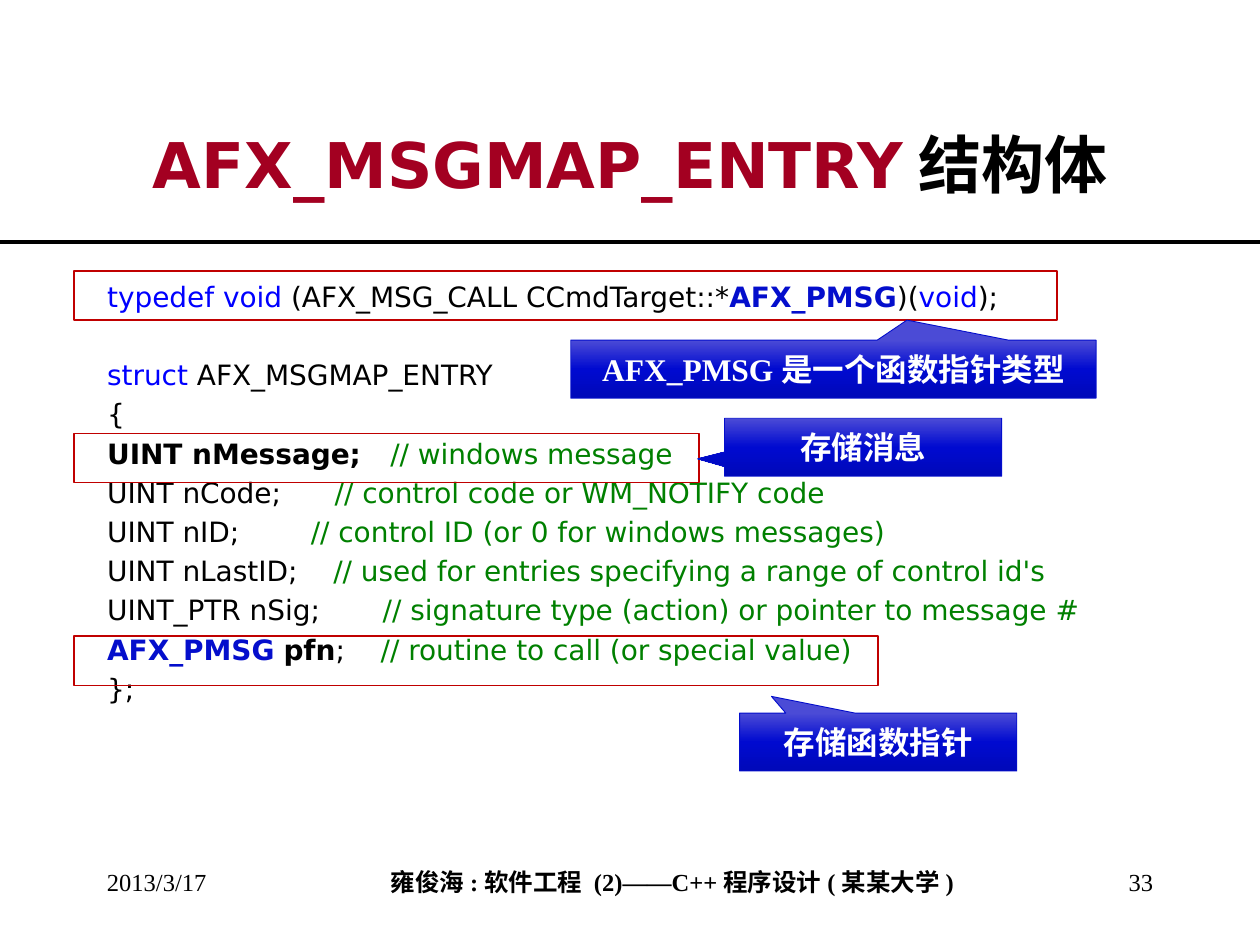
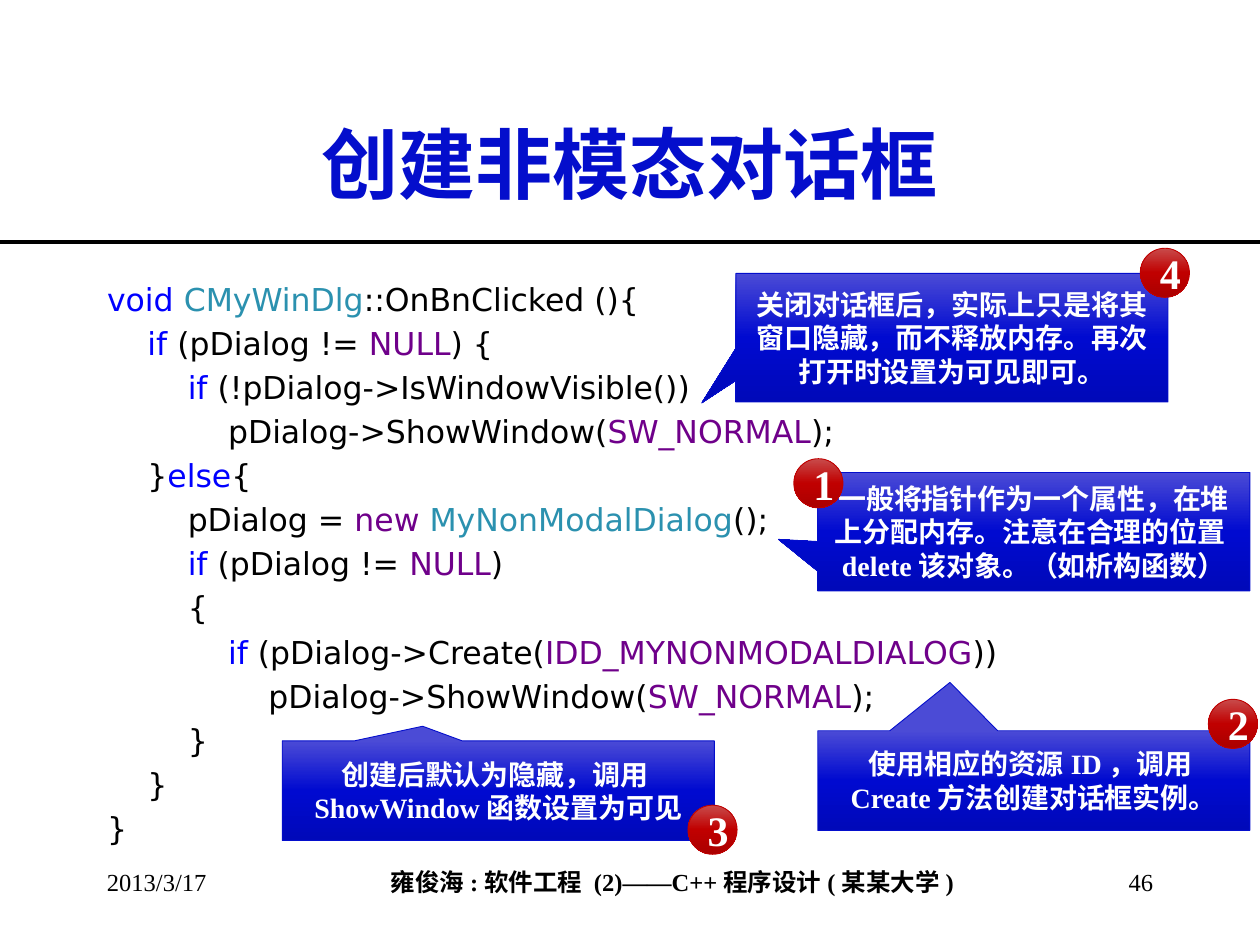
from copy import deepcopy
from lxml.etree import SubElement
from pptx import Presentation
from pptx.dml.color import RGBColor
from pptx.enum.shapes import MSO_CONNECTOR, MSO_SHAPE
from pptx.enum.text import MSO_ANCHOR as Anchor, MSO_AUTO_SIZE as AutoSize, PP_ALIGN as Align
from pptx.oxml.ns import qn
from pptx.util import Inches, Pt

COLOURS = {
    "black": "000000", "white": "FFFFFF", "keyword": "0000FF", "comment": "008000",
    "type": "2B91AF", "macro": "6F008A", "accent": "040ECC", "title": "A30021", "frame": "C00000",
}
CALLOUT_GRADIENT = ["4B4BD6", "000AD0", "0009B9"]
BADGE_GRADIENT = ["C84B4B", "C00000", "AB0000"]
SERIF = "Times New Roman"
SANS = "DejaVu Sans"
CODE_INDENT = 0.32
SPACE_WIDTH = 5.1

PAGES = [
    {
        "number": "33",
        "title": [("AFX_MSGMAP_ENTRY", "title"), ("结构体", "black")],
        "title_format": {"size": Pt(36), "name": SANS, "bold": True},
        "code_size": 16,
        "code": [
            (0, [("typedef", "keyword"), (" ", "black"), ("void", "keyword"),
                 (" (AFX_MSG_CALL CCmdTarget::*", "black"), ("AFX_PMSG", "accent", True),
                 (")(", "black"), ("void", "keyword"), (");", "black")]),
            (0, [("struct", "keyword"), (" AFX_MSGMAP_ENTRY", "black")]),
            (0, [("{", "black")]),
            (0, [("UINT nMessage;", "black", True), (" ", "black"),
                 ("// windows message", "comment")]),
            (0, [("UINT nCode;", "black"), (" ", "black"),
                 ("// control code or WM_NOTIFY code", "comment")]),
            (0, [("UINT nID;", "black"), (" ", "black"),
                 ("// control ID (or 0 for windows messages)", "comment")]),
            (0, [("UINT nLastID;", "black"), (" ", "black"),
                 ("// used for entries specifying a range of control id's", "comment")]),
            (0, [("UINT_PTR nSig;", "black"), (" ", "black"),
                 ("// signature type (action) or pointer to message #", "comment")]),
            (0, [("AFX_PMSG", "accent", True), (" ", "black"), ("pfn", "black", True),
                 (";", "black"), (" ", "black"),
                 ("// routine to call (or special value)", "comment")]),
            (0, [("};", "black")]),
        ],
        "comment_gaps": {3: 16.7, 4: 30.6, 5: 40.8, 6: 20.4, 7: 35.7, 8: 20.4},
        "section_starts": [1],
        "frames": [(0.59, 3.44, 4.96, 0.39), (0.59, 5.05, 6.38, 0.39), (0.59, 2.15, 7.8, 0.39)],
        "callout_size": 18,
        "callouts": [
            ((5.75, 3.32, 2.2, 0.46), (-0.597, 0.201), "存储消息"),
            ((5.87, 5.66, 2.2, 0.46), (-0.385, -0.789), "存储函数指针"),
            ((4.53, 2.7, 4.17, 0.46), (0.14, -0.846), "AFX_PMSG是一个函数指针类型"),
        ],
        "badges": [],
    },
    {
        "number": "46",
        "title": [("创建非模态对话框", "accent")],
        "title_format": {"size": Pt(44), "name": SERIF, "bold": True},
        "code_size": 18,
        "code": [
            (0, [("void", "keyword"), (" ", "black"), ("CMyWinDlg", "type"),
                 ("::OnBnClicked (){", "black")]),
            (1, [("if", "keyword"), (" (pDialog != ", "black"), ("NULL", "macro"), (") {", "black")]),
            (2, [("if", "keyword"), (" (!pDialog->IsWindowVisible())", "black")]),
            (3, [("pDialog->ShowWindow(", "black"), ("SW_NORMAL", "macro"), (");", "black")]),
            (1, [("}", "black"), ("else", "keyword"), ("{", "black")]),
            (2, [("pDialog = ", "black"), ("new", "macro"), (" ", "black"),
                 ("MyNonModalDialog", "type"), ("();", "black")]),
            (2, [("if", "keyword"), (" (pDialog != ", "black"), ("NULL", "macro"), (")", "black")]),
            (2, [("{", "black")]),
            (3, [("if", "keyword"), (" (pDialog->Create(", "black"),
                 ("IDD_MYNONMODALDIALOG", "macro"), ("))", "black")]),
            (4, [("pDialog->ShowWindow(", "black"), ("SW_NORMAL", "macro"), (");", "black")]),
            (2, [("}", "black")]),
            (1, [("}", "black")]),
            (0, [("}", "black")]),
        ],
        "comment_gaps": {},
        "section_starts": [],
        "frames": [],
        "callout_size": 16,
        "callouts": [
            ((6.49, 3.75, 3.43, 0.94), (-0.591, 0.065),
             "一般将指针作为一个属性，在堆上分配内存。注意在合理的位置delete该对象。（如析构函数）"),
            ((5.84, 2.17, 3.43, 1.02), (-0.579, 0.508),
             "关闭对话框后，实际上只是将其窗口隐藏，而不释放内存。再次打开时设置为可见即可。"),
            ((6.49, 5.8, 3.43, 0.79), (-0.194, -0.986),
             "使用相应的资源ID，调用Create方法创建对话框实例。"),
            ((2.24, 5.88, 3.43, 0.79), (-0.175, -0.647),
             "创建后默认为隐藏，调用ShowWindow函数设置为可见"),
        ],
        "badges": [(6.3, 3.64), (9.59, 5.55), (5.46, 6.39), (9.05, 1.97)],
    },
]

FOOTERS = [
    ((0.75, 6.83, 2.08, 0.5), Align.LEFT, False, "2013/3/17"),
    ((2.05, 6.83, 6.57, 0.33), Align.CENTER, True, "雍俊海:软件工程 (2)——C++程序设计(某某大学)"),
    ((7.17, 6.83, 2.08, 0.5), Align.RIGHT, False, None),
]


def write(para, spans, formats):
    for text, colour, *bold in spans:
        span = para.add_run()
        span.text = text
        for name, value in {"bold": bool(bold), **formats}.items():
            setattr(span.font, name, value)
        span.font.color.rgb = RGBColor.from_string(COLOURS[colour])


def add_label(page, kind, place, gradient, line_colour, text, size):
    label = page.shapes.add_shape(kind, *map(Inches, place))
    label.shadow.inherit = False
    label.fill.gradient()
    label.fill.gradient_angle = 270
    stop_list = label.element.spPr.find(qn("a:gradFill")).find(qn("a:gsLst"))
    stop_list.insert(1, deepcopy(stop_list[0]))
    for stop, position, colour in zip(label.fill.gradient_stops, (0, 0.5, 1), gradient):
        stop.position = position
        stop.color.rgb = RGBColor.from_string(colour)
    label.line.color.rgb = RGBColor.from_string(COLOURS[line_colour])
    label.line.width = Pt(0.5)
    label.text_frame.vertical_anchor = Anchor.MIDDLE
    label.text_frame.word_wrap = True
    para = label.text_frame.paragraphs[0]
    para.alignment = Align.CENTER
    write(para, [(text, "white", True)], {"size": Pt(size), "name": SERIF})
    return label


deck = Presentation()
deck.slide_width, deck.slide_height = Inches(10), Inches(7.5)

for content in PAGES:
    page = deck.slides.add_slide(deck.slide_layouts[1])
    title, body = page.placeholders
    for holder, place, anchor in [
        (title, (0.75, 0.67, 8.5, 1.25), Anchor.MIDDLE),
        (body, (0.75, 2.17, 8.5, 4.5), Anchor.TOP),
    ]:
        holder.left, holder.top, holder.width, holder.height = map(Inches, place)
        holder.text_frame.vertical_anchor = anchor
        holder.text_frame.auto_size = AutoSize.NONE
        holder.text_frame.word_wrap = True

    heading = title.text_frame.paragraphs[0]
    heading.alignment = Align.CENTER
    write(heading, content["title"], content["title_format"])

    size = content["code_size"]
    for index, (level, spans) in enumerate(content["code"]):
        para = body.text_frame.paragraphs[0] if index == 0 else body.text_frame.add_paragraph()
        line_gap = 0.2 * size
        if index in content["section_starts"]:
            line_gap += 1.39 * size
        para.space_before = Pt(round(line_gap, 1))
        write(para, spans, {"size": Pt(size), "name": SANS})
        settings = para._p.get_or_add_pPr()
        settings.set("marL", str(Inches(level * CODE_INDENT)))
        settings.set("indent", "0")
        SubElement(settings, qn("a:buNone"))
        if index in content["comment_gaps"]:
            spacing = content["comment_gaps"][index] - SPACE_WIDTH
            para.runs[-2]._r.get_or_add_rPr().set("spc", str(round(spacing * 100)))

    rule = page.shapes.add_connector(
        MSO_CONNECTOR.STRAIGHT, Inches(0), Inches(1.92), Inches(10), Inches(1.92))
    rule.line.color.rgb = RGBColor.from_string(COLOURS["black"])
    rule.line.width = Pt(2.25)
    SubElement(rule.element.spPr, qn("a:effectLst"))

    for place, alignment, bold, text in FOOTERS:
        box = page.shapes.add_textbox(*map(Inches, place))
        box.text_frame.word_wrap = True
        para = box.text_frame.paragraphs[0]
        para.alignment = alignment
        write(para, [(text or content["number"], "black")],
              {"size": Pt(14), "name": SERIF, "bold": bold})

    for place in content["frames"]:
        frame = page.shapes.add_shape(MSO_SHAPE.RECTANGLE, *map(Inches, place))
        frame.shadow.inherit = False
        frame.fill.background()
        frame.line.color.rgb = RGBColor.from_string(COLOURS["frame"])
        frame.line.width = Pt(1)

    for place, tip, text in content["callouts"]:
        callout = add_label(page, MSO_SHAPE.RECTANGULAR_CALLOUT, place, CALLOUT_GRADIENT,
                            "accent", text, content["callout_size"])
        callout.adjustments[0], callout.adjustments[1] = tip

    for number, corner in enumerate(content["badges"], 1):
        add_label(page, MSO_SHAPE.OVAL, (*corner, 0.39, 0.39), BADGE_GRADIENT,
                  "frame", str(number), 24)

deck.save("out.pptx")
